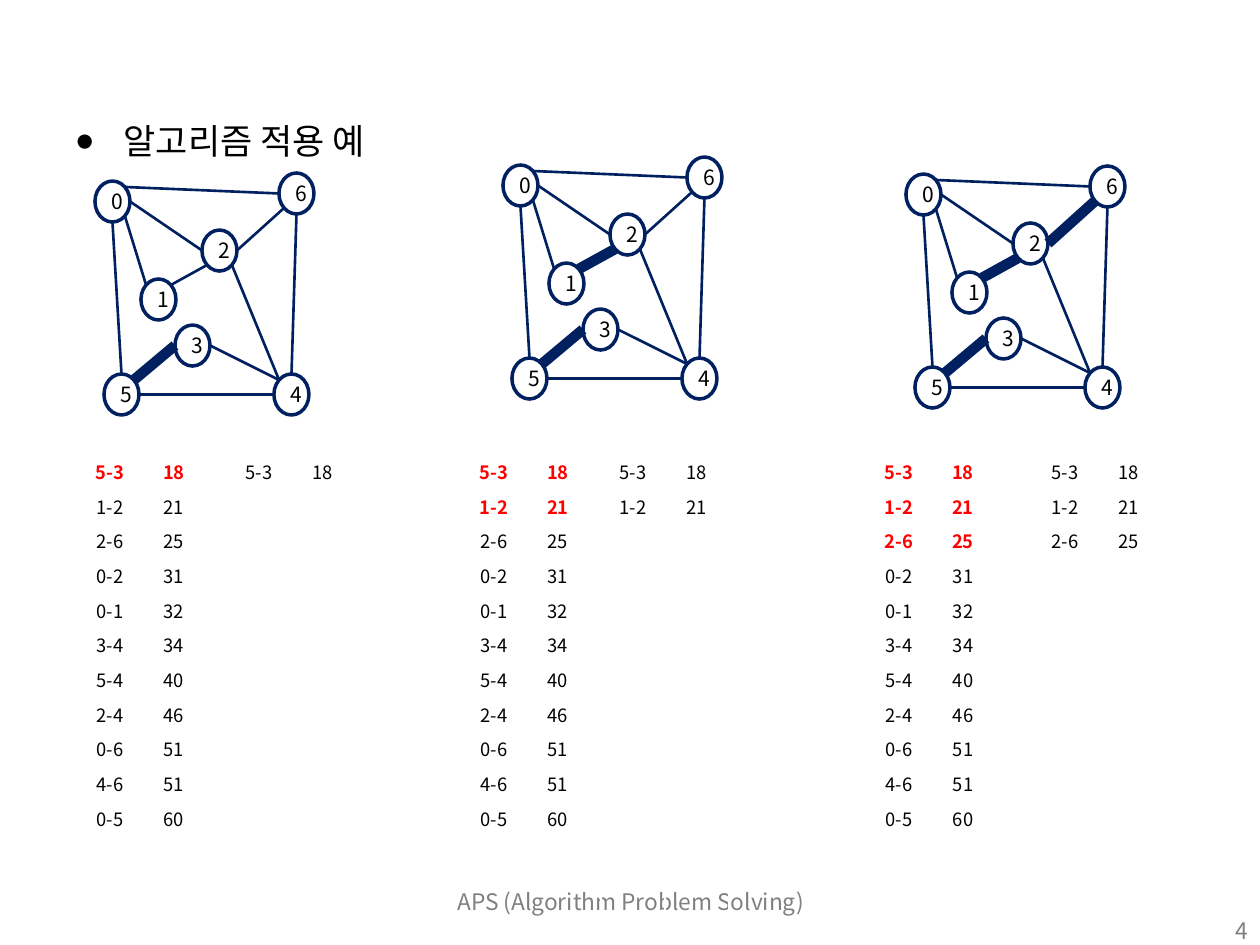
from math import cos, radians, sin

from lxml.etree import SubElement
from pptx import Presentation
from pptx.dml.color import RGBColor
from pptx.enum.shapes import MSO_CONNECTOR as Connector, MSO_SHAPE as Shape
from pptx.enum.text import MSO_ANCHOR as Anchor, MSO_AUTO_SIZE as AutoSize, PP_ALIGN as Align
from pptx.oxml.ns import qn
from pptx.util import Emu, Pt

FONT = "Noto Sans CJK KR"
BLACK = RGBColor(0x00, 0x00, 0x00)
WHITE = RGBColor(0xFF, 0xFF, 0xFF)
NAVY = RGBColor(0x00, 0x20, 0x60)
RED = RGBColor(0xFF, 0x00, 0x00)
GRAY = RGBColor(0x80, 0x80, 0x80)

NODE_WIDTH, NODE_HEIGHT = 35, 41
NODES = {0: (0, 0), 1: (46, 98), 2: (107, 49), 3: (80, 144), 4: (179, 193), 5: (9, 193), 6: (184, -8)}
ANGLES = {"E": 0, "SE": 45, "S": 90, "SW": 135, "W": 180, "NW": 225, "N": 270, "NE": 315}
EDGES = [
    (5, 3, 18, "NE", "W"),
    (1, 2, 21, "NE", "SW"),
    (2, 6, 25, "E", "SW"),
    (0, 2, 31, "E", "W"),
    (0, 1, 32, "SE", "NW"),
    (3, 4, 34, "E", "NW"),
    (5, 4, 40, "E", "W"),
    (2, 4, 46, "SE", "NW"),
    (0, 6, 51, "NE", "W"),
    (4, 6, 51, "N", "S"),
    (0, 5, 60, "S", "N"),
]
STEPS = [(95, 181, 78, 227), (503, 165, 462, 601), (906, 174, 867, 1033)]
TABLE_TOP, COLUMN_WIDTH, ROW_HEIGHT = 452, 64, 28
PICKED_ROWS = 10


def px(value):
    return Emu(round(value * 914400 / 126))


def add_text(paragraph, text, size, color, bold=False, align=Align.CENTER):
    paragraph.alignment = align
    run = paragraph.add_run()
    run.text = text
    run.font.name = FONT
    run.font.size = Pt(size)
    run.font.bold = bold
    run.font.color.rgb = color
    SubElement(run.font._element, qn("a:ea"), typeface=FONT)


presentation = Presentation()
presentation.slide_width = px(1260)
presentation.slide_height = px(945)
slide = presentation.slides.add_slide(presentation.slide_layouts[1])
shapes = slide.shapes
title = shapes.title
title._element.getparent().remove(title._element)

body = slide.placeholders[1]
body.left, body.top, body.width, body.height = px(63), px(101), px(1134), px(677)
body.text_frame.auto_size = AutoSize.NONE
paragraph = body.text_frame.paragraphs[0]
paragraph.line_spacing = 1.3
paragraph.space_before = Pt(4)
add_text(paragraph, "알고리즘 적용 예", 20, BLACK, align=Align.LEFT)
properties = paragraph._p.get_or_add_pPr()
properties.set("marL", str(px(48)))
properties.set("indent", str(-px(48)))
SubElement(properties, qn("a:buSzPct"), val="150000")
SubElement(properties, qn("a:buFont"), typeface="Arial")
SubElement(properties, qn("a:buChar"), char="•")

for left, top, width, text, align in [
    (431, 876, 399, "APS (Algorithm Problem Solving)", Align.CENTER),
    (966, 905, 294, "4", Align.RIGHT),
]:
    box = shapes.add_textbox(px(left), px(top), px(width), px(50))
    box.text_frame.word_wrap = True
    box.text_frame.vertical_anchor = Anchor.MIDDLE
    add_text(box.text_frame.paragraphs[0], text, 13, GRAY, align=align)

for picked, (graph_left, graph_top, edges_left, picked_left) in enumerate(STEPS, start=1):
    for label, (x, y) in NODES.items():
        node = shapes.add_shape(
            Shape.OVAL, px(graph_left + x), px(graph_top + y), px(NODE_WIDTH), px(NODE_HEIGHT)
        )
        node.shadow.inherit = False
        node.fill.solid()
        node.fill.fore_color.rgb = WHITE
        node.line.color.rgb = NAVY
        node.line.width = Pt(2)
        frame = node.text_frame
        frame.word_wrap = False
        frame.vertical_anchor = Anchor.MIDDLE
        frame.margin_left = px(9)
        frame.margin_right = frame.margin_top = frame.margin_bottom = 0
        add_text(frame.paragraphs[0], str(label), 12, BLACK)

    for index, (start, end, weight, start_side, end_side) in enumerate(EDGES):
        ends = []
        for label, side in [(start, start_side), (end, end_side)]:
            x, y = NODES[label]
            angle = radians(ANGLES[side])
            ends.append(px(graph_left + x + NODE_WIDTH / 2 * (1 + cos(angle))))
            ends.append(px(graph_top + y + NODE_HEIGHT / 2 * (1 + sin(angle))))
        edge = shapes.add_connector(Connector.STRAIGHT, *ends)
        edge.line.color.rgb = NAVY
        edge.line.width = Pt(6 if index < picked else 1.5)
        SubElement(edge._element.spPr, qn("a:effectLst"))

    for left, row_count, filled, red_count in [
        (edges_left, len(EDGES), len(EDGES), picked),
        (picked_left, PICKED_ROWS, picked, 0),
    ]:
        table = shapes.add_table(
            row_count, 2, px(left), px(TABLE_TOP), px(2 * COLUMN_WIDTH), px(row_count * ROW_HEIGHT)
        ).table
        table.first_row = False
        table.horz_banding = False
        for index in range(row_count):
            start, end, weight = EDGES[index][:3]
            values = (f"{start}-{end}", str(weight)) if index < filled else ("", "")
            red = index < red_count
            for cell, value in zip(table.rows[index].cells, values):
                cell.fill.background()
                cell.vertical_anchor = Anchor.MIDDLE
                add_text(cell.text_frame.paragraphs[0], value, 10.5, RED if red else BLACK, red)

presentation.save("out.pptx")
